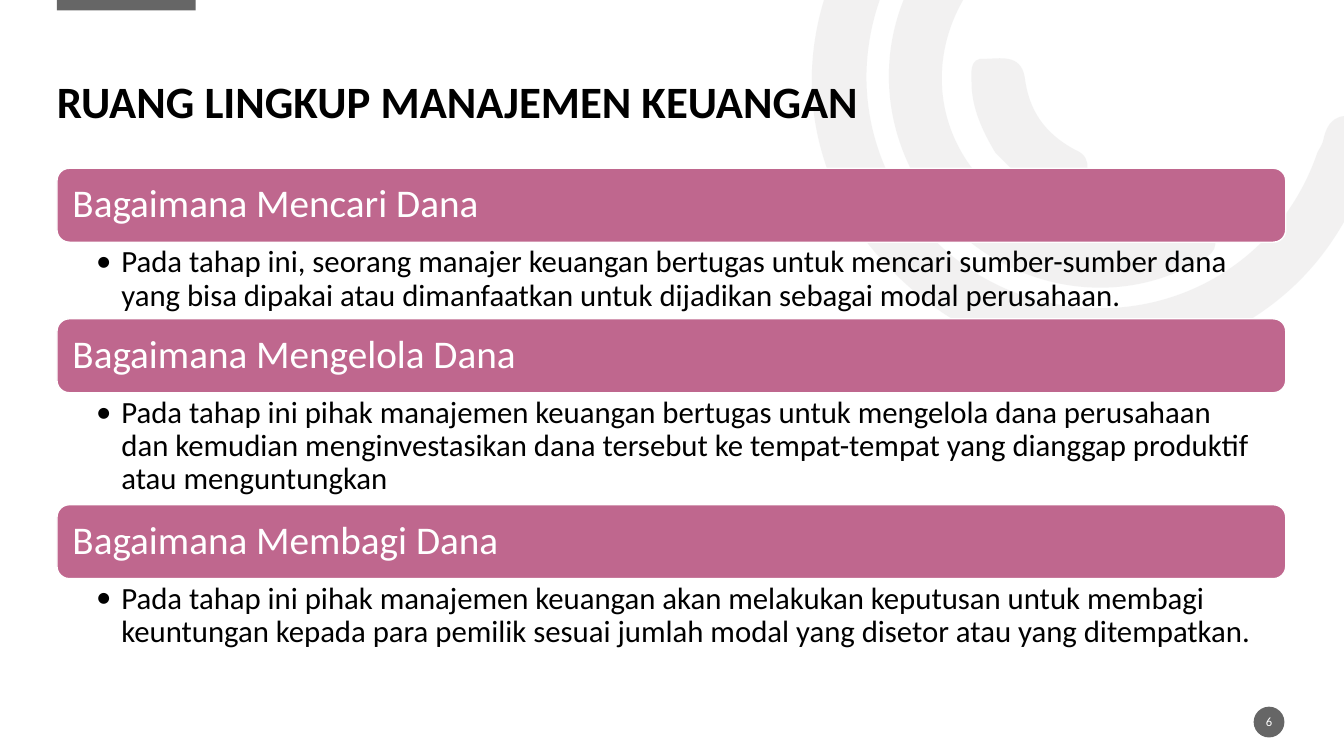
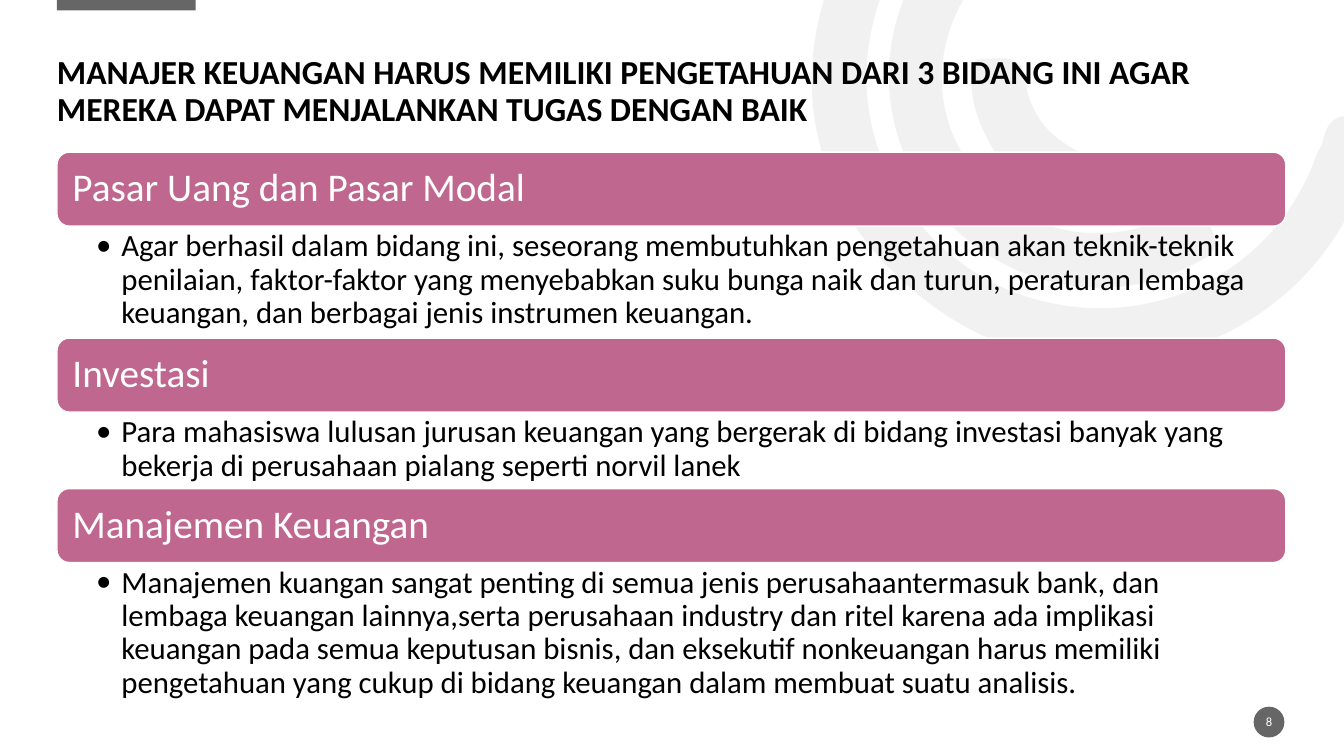
"""Build two slides on the scope of financial management."""
from lxml import etree
from pptx import Presentation
from pptx.dml.color import RGBColor
from pptx.enum.shapes import MSO_SHAPE
from pptx.enum.text import MSO_ANCHOR, MSO_AUTO_SIZE, PP_ALIGN
from pptx.oxml.ns import qn
from pptx.util import Pt

RECT, ROUNDED, OVAL = MSO_SHAPE.RECTANGLE, MSO_SHAPE.ROUNDED_RECTANGLE, MSO_SHAPE.OVAL
TOP, MIDDLE, BOTTOM = MSO_ANCHOR.TOP, MSO_ANCHOR.MIDDLE, MSO_ANCHOR.BOTTOM
LEFT, CENTER = PP_ALIGN.LEFT, PP_ALIGN.CENTER
NO_AUTOFIT = MSO_AUTO_SIZE.NONE

FONT = "Calibri"
BLACK, WHITE, GREY, PALE, PINK = "000000", "FFFFFF", "666666", "E7E6E6", "BF678E"
MARGIN, CONTENT_WIDTH = 40.7, 877.7
BAR_HEIGHT = 52.8
DETAIL_HEIGHTS = {2: 54.7, 3: 80, 4: 103}

ARCS = [
    [(613, 165),
     (575, 107), (567, 36), (603, -36),
     (641, -109), (703, -146), (785, -149),
     (796, -149), (807, -151), (814, -140),
     (824, -126), (811, -111), (791, -111),
     (696, -111), (623, -42), (619, 49),
     (616, 130), (674, 202), (753, 217),
     (835, 233), (914, 188), (941, 109),
     (942, 107), (944, 104), (945, 101),
     (948, 86), (955, 80), (971, 84),
     (989, 89), (984, 102), (980, 112),
     (960, 176), (920, 221), (858, 246),
     (770, 279), (674, 248), (613, 165)],
    [(664, 143),
     (621, 83), (626, 5), (677, -49),
     (685, -57), (693, -68), (706, -56),
     (716, -46), (718, -36), (705, -23),
     (666, 19), (662, 78), (695, 121),
     (726, 165), (783, 179), (836, 155),
     (851, 148), (859, 153), (866, 165),
     (873, 180), (862, 184), (852, 189),
     (789, 223), (708, 203), (664, 143)],
    [(711, 109),
     (702, 94), (694, 77), (694, 59),
     (694, 53), (692, 41), (703, 42),
     (714, 42), (729, 38), (732, 55),
     (735, 79), (746, 95), (768, 107),
     (783, 113), (775, 127), (772, 136),
     (769, 148), (760, 143), (752, 140),
     (735, 135), (724, 122), (711, 109)],
]

PAGES = [
    ("6", "RUANG LINGKUP MANAJEMEN KEUANGAN", 32, 120.2, [
        ("Bagaimana Mencari Dana", 2,
         "Pada tahap ini, seorang manajer keuangan bertugas untuk mencari sumber-sumber dana "
         "yang bisa dipakai atau dimanfaatkan untuk dijadikan sebagai modal perusahaan."),
        ("Bagaimana Mengelola Dana", 3,
         "Pada tahap ini pihak manajemen keuangan bertugas untuk mengelola dana perusahaan "
         "dan kemudian menginvestasikan dana tersebut ke tempat-tempat yang dianggap produktif "
         "atau menguntungkan"),
        ("Bagaimana Membagi Dana", 2,
         "Pada tahap ini pihak manajemen keuangan akan melakukan keputusan untuk membagi "
         "keuntungan kepada para pemilik sesuai jumlah modal yang disetor atau yang ditempatkan."),
    ]),
    ("8", "MANAJER KEUANGAN HARUS MEMILIKI PENGETAHUAN DARI 3 BIDANG INI AGAR "
          "MEREKA DAPAT MENJALANKAN TUGAS DENGAN BAIK", 24, 108.7, [
        ("Pasar Uang dan Pasar Modal", 3,
         "Agar berhasil dalam bidang ini, seseorang membutuhkan pengetahuan akan teknik-teknik "
         "penilaian, faktor-faktor yang menyebabkan suku bunga naik dan turun, peraturan lembaga "
         "keuangan, dan berbagai jenis instrumen keuangan."),
        ("Investasi", 2,
         "Para mahasiswa lulusan jurusan keuangan yang bergerak di bidang investasi banyak yang "
         "bekerja di perusahaan pialang seperti norvil lanek"),
        ("Manajemen Keuangan", 4,
         "Manajemen kuangan sangat penting di semua jenis perusahaantermasuk bank, dan "
         "lembaga keuangan lainnya,serta perusahaan industry dan ritel karena ada implikasi "
         "keuangan pada semua keputusan bisnis, dan eksekutif nonkeuangan harus memiliki "
         "pengetahuan yang cukup di bidang keuangan dalam membuat suatu analisis."),
    ]),
]


def paint(shape, fill, line=None):
    """Give a shape a flat fill and an optional one-point outline."""
    shape.shadow.inherit = False
    shape.fill.solid()
    shape.fill.fore_color.rgb = RGBColor.from_string(fill)
    if line:
        shape.line.color.rgb = RGBColor.from_string(line)
        shape.line.width = Pt(1)
    else:
        shape.line.fill.background()


def write(shape, text, size, color, anchor, insets=(0, 0, 0, 0), align=LEFT, bold=False, bullet=False):
    """Put one formatted paragraph into a shape."""
    frame = shape.text_frame
    frame.word_wrap = True
    frame.auto_size = NO_AUTOFIT
    frame.vertical_anchor = anchor
    frame.margin_left, frame.margin_top, frame.margin_right, frame.margin_bottom = map(Pt, insets)
    frame.text = text
    paragraph = frame.paragraphs[0]
    paragraph.alignment = align
    paragraph.line_spacing = 0.9
    if bullet:
        properties = paragraph._p.get_or_add_pPr()
        properties.set("marL", str(Pt(18)))
        properties.set("indent", str(-Pt(18)))
        etree.SubElement(properties, qn("a:buFont")).set("typeface", FONT)
        etree.SubElement(properties, qn("a:buChar")).set("char", "•")
    paragraph.font.name = FONT
    paragraph.font.size = Pt(size)
    paragraph.font.bold = bold
    paragraph.font.color.rgb = RGBColor.from_string(color)


prs = Presentation()
prs.slide_width, prs.slide_height = Pt(960), Pt(540)
layout = prs.slide_layouts[5]
slides = [prs.slides.add_slide(layout) for _ in PAGES]

shapes = slides[0].shapes
top_tab = shapes.add_shape(RECT, Pt(MARGIN), Pt(0), Pt(99), Pt(7.5))
paint(top_tab, GREY)
page_badge = shapes.add_shape(OVAL, Pt(895.5), Pt(504.8), Pt(22), Pt(22))
paint(page_badge, GREY)
decorations = [top_tab, page_badge]
for arc in ARCS:
    start, *points = [(Pt(x), Pt(y)) for x, y in arc]
    builder = shapes.build_freeform(*start)
    builder.add_line_segments(points, close=True)
    band = builder.convert_to_shape()
    paint(band, PALE)
    tint = band.element.spPr.find(qn("a:solidFill"))[0]
    etree.SubElement(tint, qn("a:alpha")).set("val", "53000")
    segments = list(band.element.iter(qn("a:lnTo")))
    for first in range(0, len(segments), 3):
        curve = etree.Element(qn("a:cubicBezTo"))
        segments[first].addprevious(curve)
        for segment in segments[first:first + 3]:
            curve.append(segment[0])
            segment.getparent().remove(segment)
    decorations.append(band)
for number, decoration in enumerate(decorations, 20):
    decoration.element.nvSpPr.cNvPr.id = number
    layout.shapes.element.append(decoration.element)

for slide, (page_number, heading, heading_size, top, topics) in zip(slides, PAGES):
    title = slide.shapes.title
    title.left, title.top = Pt(MARGIN), Pt(19.4)
    title.width, title.height = Pt(CONTENT_WIDTH), Pt(72.4)
    write(title, heading, heading_size, BLACK, BOTTOM, bold=True)

    page_label = slide.shapes.add_textbox(Pt(895), Pt(508.5), Pt(23), Pt(14.4))
    write(page_label, page_number, 9, WHITE, MIDDLE, align=CENTER)

    for topic, line_count, explanation in topics:
        bar = slide.shapes.add_shape(ROUNDED, Pt(MARGIN), Pt(top), Pt(CONTENT_WIDTH), Pt(BAR_HEIGHT))
        paint(bar, PINK, WHITE)
        write(bar, topic, 28, WHITE, MIDDLE, (8.5, 8.5, 8.5, 8.5))
        top += BAR_HEIGHT
        detail = slide.shapes.add_textbox(
            Pt(MARGIN), Pt(top), Pt(CONTENT_WIDTH), Pt(DETAIL_HEIGHTS[line_count]))
        write(detail, explanation, 22, BLACK, TOP, (28, 3, 15.5, 3), bullet=True)
        top += DETAIL_HEIGHTS[line_count]

prs.save("out.pptx")
